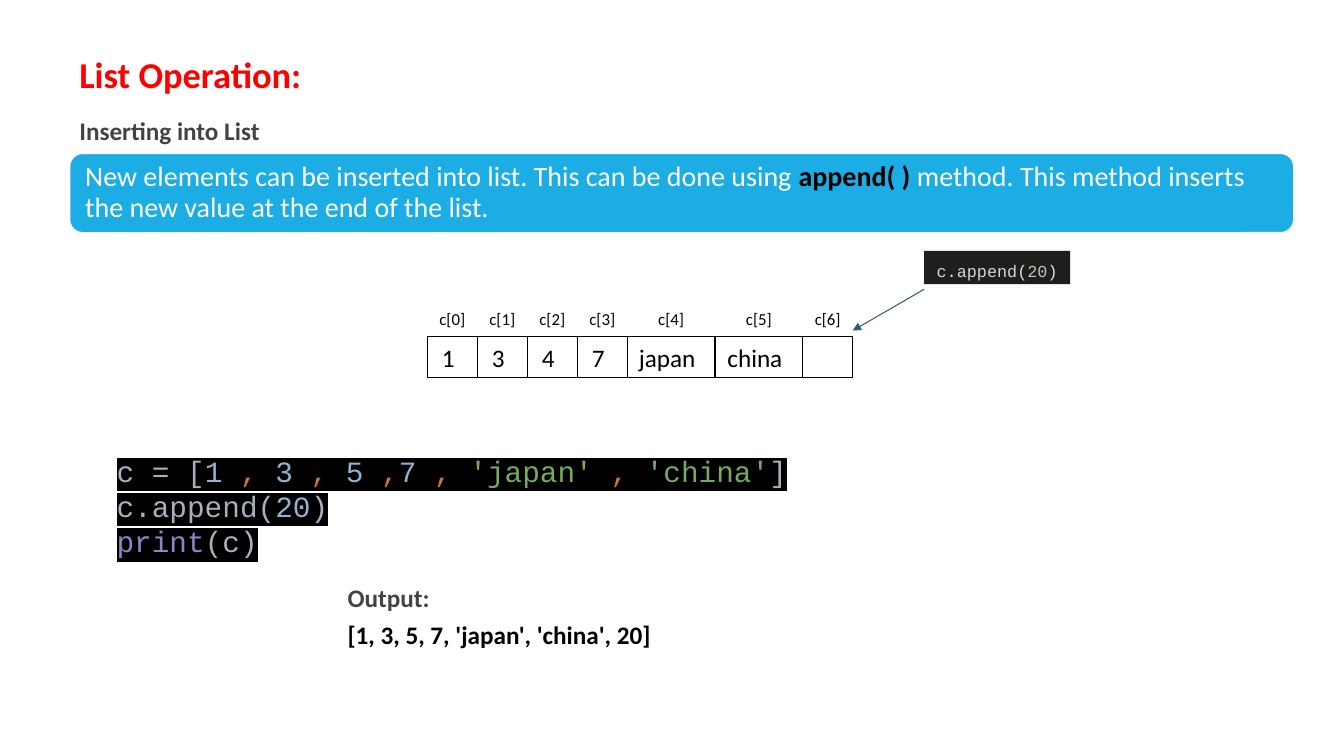
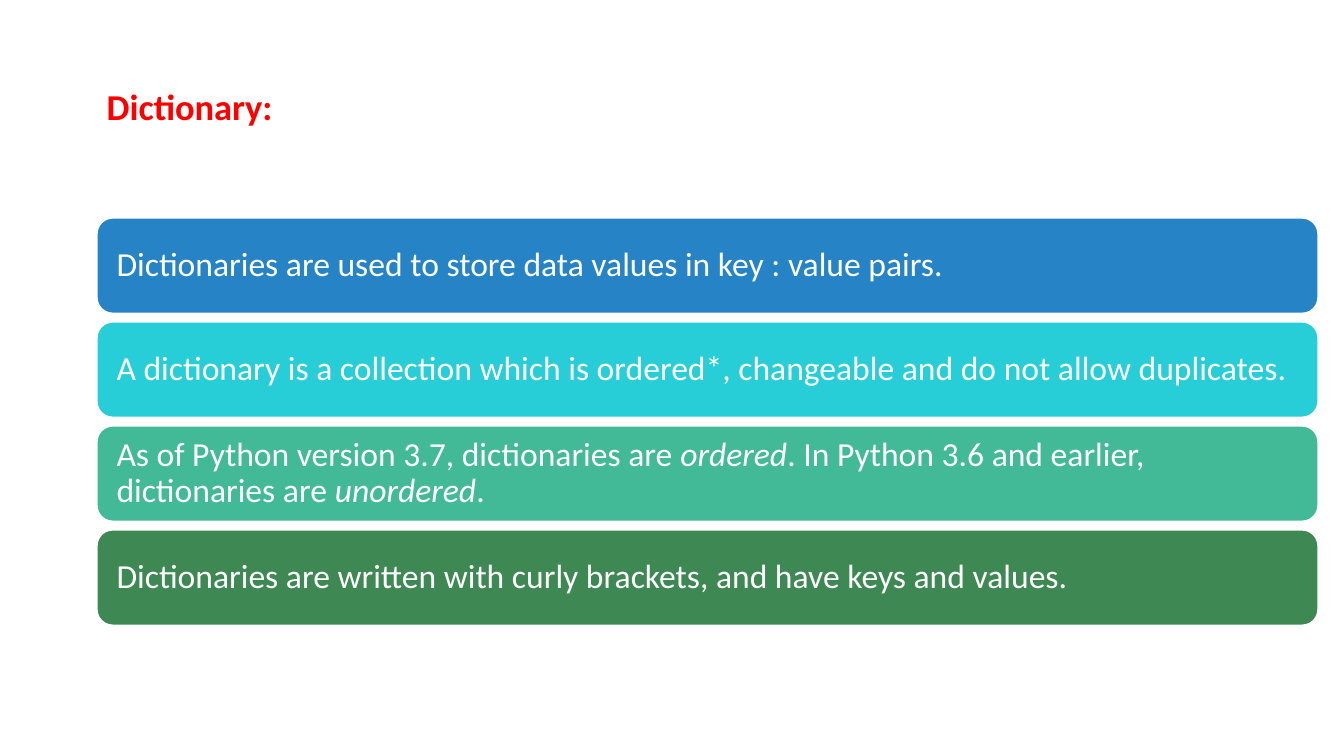
from lxml.etree import SubElement
from pptx import Presentation
from pptx.dml.color import RGBColor
from pptx.enum.shapes import MSO_CONNECTOR as Connector, MSO_SHAPE as Shape
from pptx.enum.text import MSO_ANCHOR as Anchor, PP_ALIGN as Align
from pptx.oxml.ns import qn
from pptx.util import Cm, Pt

COLORS = {
    "red": "FF0000", "gray": "434343", "black": "000000", "white": "FFFFFF",
    "sky": "1CADE4", "blue": "2683C6", "cyan": "27CED7", "teal": "42BA97",
    "green": "3E8853", "arrow": "335B74",
    # Code colours
    "chip": "1E1E1E", "chip_name": "D4D4D4", "chip_mark": "DCDCDC",
    "chip_number": "B5CEA8", "plain": "A8AFBE", "number": "8FB2CE",
    "comma": "CC7832", "string": "75AA5F", "builtin": "8888C6",
}
BODY, CODE = "Calibri", "Courier New"


def rgb(name):
    return RGBColor.from_string(COLORS[name])


class Slides:
    """Holds the deck, its style and the current page."""

    def __init__(self):
        self.deck = Presentation()
        self.deck.slide_width, self.deck.slide_height = Cm(33.87), Cm(19.05)
        self.page = None

    def new_page(self):
        self.page = self.deck.slides.add_slide(self.deck.slide_layouts[6])

    def fill_text(self, box, lines, size, color, font=BODY, bold=False,
                  align=Align.LEFT, anchor=Anchor.TOP,
                  insets=(0.25, 0.13, 0.25, 0.13), spacing=1.0, highlight=None):
        """Fill box with lines; a line is a list of (text, colour, style) spans."""
        frame = box.text_frame
        frame.word_wrap = True
        frame.vertical_anchor = anchor
        (frame.margin_left, frame.margin_top,
         frame.margin_right, frame.margin_bottom) = map(Cm, insets)
        for index, line in enumerate(lines):
            para = frame.add_paragraph() if index else frame.paragraphs[0]
            para.alignment, para.line_spacing = align, spacing
            para.font.name, para.font.size, para.font.bold = font, Pt(size), bold
            para.font.color.rgb = rgb(color)
            for text, span_color, style in line:
                span = para.add_run()
                span.text = text
                span.font.color.rgb = rgb(span_color or color)
                if style == "bold":
                    span.font.bold = True
                elif style == "italic":
                    span.font.italic = True
                if highlight:
                    mark = SubElement(span.font._element, qn("a:highlight"))
                    SubElement(mark, qn("a:srgbClr"), val=COLORS[highlight])

    def text(self, left, top, width, height, lines, size, color, **style):
        box = self.page.shapes.add_textbox(Cm(left), Cm(top), Cm(width), Cm(height))
        self.fill_text(box, lines, size, color, **style)

    def title(self, left, top, words):
        self.text(left, top, 7.82, 1.37, [plain(words)], 26, "red", bold=True)

    def heading(self, left, top, words):
        self.text(left, top, 23.67, 1.3, [plain(words)], 18, "gray", bold=True,
                  insets=[0.25] * 4, spacing=1.15)

    def shape(self, kind, left, top, width, height, fill=None, line=None, weight=0.75):
        box = self.page.shapes.add_shape(kind, Cm(left), Cm(top), Cm(width), Cm(height))
        box.shadow.inherit = False
        if fill:
            box.fill.solid()
            box.fill.fore_color.rgb = rgb(fill)
        else:
            box.fill.background()
        if line:
            box.line.color.rgb = rgb(line)
            box.line.width = Pt(weight)
        else:
            box.line.fill.background()
        return box

    def card(self, left, top, width, height, fill, line, size, inset):
        box = self.shape(Shape.ROUNDED_RECTANGLE, left, top, width, height,
                         fill, "white", 1.25)
        self.fill_text(box, [line], size, "white", anchor=Anchor.MIDDLE,
                       insets=[inset] * 4, spacing=0.9)

    def cell(self, left, top, width, height, value):
        box = self.shape(Shape.RECTANGLE, left, top, width, height, line="black")
        self.fill_text(box, [plain(value)], 18, "black", align=Align.CENTER,
                       anchor=Anchor.MIDDLE, insets=(0, 0, 0.2, 0))

    def arrow(self, x1, y1, x2, y2, color):
        arrow = self.page.shapes.add_connector(
            Connector.STRAIGHT, Cm(x1), Cm(y1), Cm(x2), Cm(y2))
        arrow.line.color.rgb = rgb(color)
        arrow.line.width = Pt(0.75)
        properties = arrow._element.spPr
        SubElement(properties.find(qn("a:ln")), qn("a:tailEnd"), type="triangle")
        SubElement(properties, qn("a:effectLst"))


def plain(words):
    return [(words, None, None)] if words else []


def code(*pairs):
    return [(words, color, None) for words, color in pairs]


def list_page(slides):
    slides.new_page()
    slides.title(1.75, 1.19, "List Operation:")
    slides.heading(1.75, 2.54, "Inserting into List")
    slides.card(1.75, 3.86, 30.86, 2.01, "sky", [
        ("New elements can be inserted into list. This can be done using ", None, None),
        ("append( ) ", "black", "bold"),
        ("method. This method inserts the new value at the end of the list.", None, None),
    ], 20, 0.3)

    # List cells with their index labels
    left = 10.77
    for index, value in enumerate(["1", "3", "4", "7", "japan", "china", ""]):
        width = 2.21 if len(value) > 1 else 1.26
        slides.cell(left, 8.48, width, 1.04, value)
        slides.text(left, 7.52, width, 1.02, [plain(f"c[{index}]")], 12, "black",
                    align=Align.CENTER, anchor=Anchor.MIDDLE, insets=[0] * 4)
        left += width

    # Append call pointing at the free cell
    slides.arrow(23.29, 7.29, 21.49, 8.33, "arrow")
    chip = slides.shape(Shape.RECTANGLE, 23.29, 6.32, 3.68, 0.84, "chip")
    call = code(("c.append", "chip_name"), ("(", "chip_mark"),
                ("20", "chip_number"), (")", "chip_mark"))
    slides.fill_text(chip, [call], 12, "chip_name", font=CODE, align=Align.CENTER,
                     anchor=Anchor.MIDDLE, insets=[0.25] * 4, spacing=1.36,
                     highlight="chip")

    # Program and its output
    program = [
        code(("c = [", "plain"), ("1 ", "number"), (", ", "comma"), ("3 ", "number"),
             (", ", "comma"), ("5 ", "number"), (",", "comma"), ("7 ", "number"),
             (", ", "comma"), ("'japan' ", "string"), (", ", "comma"),
             ("'china'", "string"), ("]", "plain")),
        code(("c.append(", "plain"), ("20", "number"), (")", "plain")),
        code(("print", "builtin"), ("(c)", "plain")),
    ]
    slides.text(2.69, 11.28, 19.33, 3.71, program, 21, "plain", font=CODE,
                highlight="black")
    slides.heading(8.51, 14.3, "Output:")
    slides.text(8.51, 15.47, 14.43, 1.02, [plain("[1, 3, 5, 7, 'japan', 'china', 20]")],
                18, "black", bold=True)


def dictionary_page(slides):
    slides.new_page()
    slides.title(2.44, 1.98, "Dictionary:")
    facts = [
        ("blue", plain("Dictionaries are used to store data values in key : value pairs.")),
        ("cyan", plain("A dictionary is a collection which is ordered*, changeable "
                       "and do not allow duplicates.")),
        ("teal", [("As of Python version 3.7, dictionaries are ", None, None),
                  ("ordered", None, "italic"),
                  (". In Python 3.6 and earlier, dictionaries are ", None, None),
                  ("unordered", None, "italic"), (".", None, None)]),
        ("green", plain("Dictionaries are written with curly brackets, "
                        "and have keys and values.")),
    ]
    for row, (fill, line) in enumerate(facts):
        slides.card(2.44, 5.49 + row * 2.62, 30.78, 2.41, fill, line, 24, 0.38)


def main():
    slides = Slides()
    list_page(slides)
    dictionary_page(slides)
    slides.deck.save("out.pptx")


if __name__ == "__main__":
    main()
